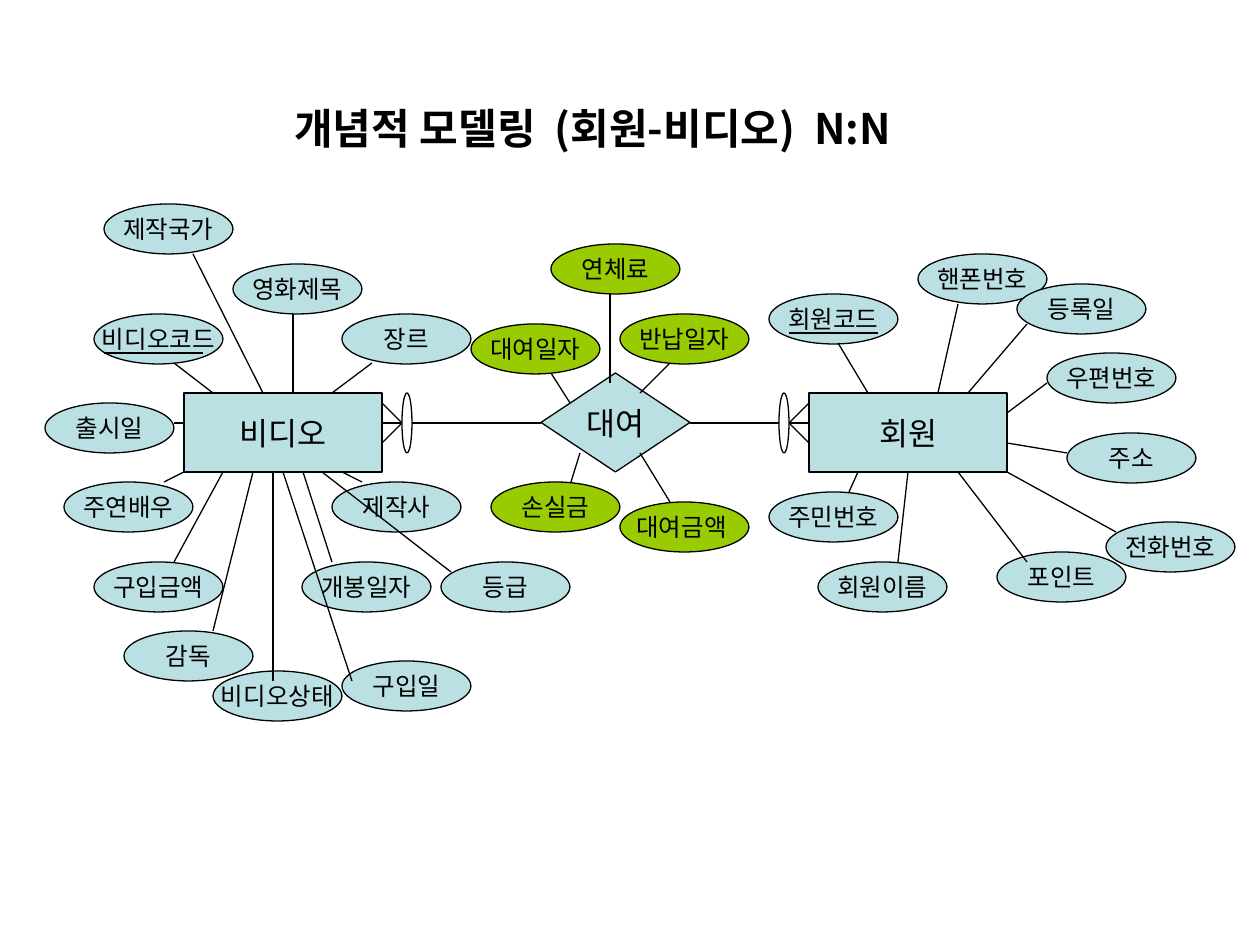
from lxml import etree
from pptx import Presentation, util as u
from pptx.dml.color import RGBColor
from pptx.enum import shapes, text
from pptx.oxml.ns import qn

BLACK = RGBColor(0, 0, 0)
WHITE = RGBColor(255, 255, 255)
AQUA = RGBColor(0xBB, 0xE0, 0xE3)
LIME = RGBColor(0x99, 0xCC, 0)
FACE = "Noto Sans CJK KR"
SCALE = 914400 / 126
OVAL = shapes.MSO_SHAPE.OVAL
RECT = shapes.MSO_SHAPE.RECTANGLE
DIAMOND = shapes.MSO_SHAPE.FLOWCHART_DECISION

NODES = [
    ("비디오", RECT, (184, 393, 198, 79)),
    ("회원", RECT, (809, 393, 198, 79)),
    ("대여", DIAMOND, (541, 373, 149, 99)),
]
LINKS = [
    (382, 423, 541, 423), (690, 423, 809, 423),
    (382, 403, 402, 423), (382, 443, 402, 423),
    (789, 423, 809, 403), (789, 423, 809, 443),
]
VIDEO = [
    ("장르", 342, 314), ("제작사", 332, 482), ("등급", 441, 562),
    ("구입일", 342, 661), ("비디오상태", 213, 671), ("감독", 124, 631),
    ("구입금액", 94, 562), ("주연배우", 64, 482), ("출시일", 45, 403),
    ("비디오코드", 94, 314), ("제작국가", 104, 204), ("영화제목", 233, 264),
    ("개봉일자", 302, 562),
]
MEMBER = [
    ("회원코드", 769, 294), ("주민번호", 769, 492), ("포인트", 997, 552),
    ("주소", 1067, 433), ("우편번호", 1047, 353), ("핸폰번호", 918, 254),
    ("회원이름", 818, 562), ("등록일", 1017, 284), ("전화번호", 1106, 522),
]
RENTAL = [
    ("대여일자", 471, 324), ("반납일자", 620, 314), ("연체료", 551, 244),
    ("대여금액 ", 620, 502), ("손실금", 491, 482),
]
KEYS = [(104, 353, 203, 353), (789, 333, 878, 333)]
SPOKES = [
    (293, 314, 293, 393), (372, 363, 332, 393), (193, 254, 263, 393),
    (174, 363, 213, 393), (174, 423, 184, 423), (164, 482, 184, 472),
    (174, 562, 223, 472), (253, 472, 213, 631), (273, 472, 273, 681),
    (303, 472, 332, 562), (342, 472, 362, 482), (322, 472, 451, 572),
    (283, 472, 352, 681), (551, 373, 570, 403), (610, 294, 610, 383),
    (670, 363, 640, 393), (580, 453, 571, 482), (640, 453, 670, 502),
    (838, 343, 868, 393), (958, 304, 938, 393), (1027, 324, 968, 393),
    (1047, 383, 1007, 413), (1067, 453, 1007, 443), (858, 472, 849, 492),
    (908, 472, 898, 562), (958, 472, 1027, 562), (1007, 472, 1116, 532),
]


def px(*vals):
    """Turn pixel lengths into EMU."""
    return [u.Emu(round(v * SCALE)) for v in vals]


def put(obj, **vals):
    """Set several attributes on one object."""
    for key, val in vals.items():
        setattr(obj, key, val)


def write(frame, words, size, bold=False, **form):
    """Write one paragraph in the slide's font."""
    para = frame.paragraphs[0]
    put(para, **form)
    run = para.add_run()
    run.text = words
    put(run.font, name=FACE, size=u.Pt(size), bold=bold)
    run.font.color.rgb = BLACK
    etree.SubElement(run.font._element, qn("a:ea"), typeface=FACE)


def edge(obj):
    """Give a shape or connector its thin black line."""
    obj.line.color.rgb = BLACK
    obj.line.width = u.Pt(0.75)


def node(slide, kind, box, fill, words="", size=14):
    """Add one filled shape with centred words."""
    shape = slide.shapes.add_shape(kind, *px(*box))
    shape.shadow.inherit = False
    shape.fill.solid()
    shape.fill.fore_color.rgb = fill
    edge(shape)
    if words:
        frame = shape.text_frame
        put(frame, word_wrap=False, vertical_anchor=text.MSO_ANCHOR.MIDDLE)
        write(frame, words, size, alignment=text.PP_ALIGN.CENTER)


def line(slide, ends):
    """Add one straight line between two points."""
    link = slide.shapes.add_connector(shapes.MSO_CONNECTOR.STRAIGHT, *px(*ends))
    edge(link)
    etree.SubElement(link._element.spPr, qn("a:effectLst"))


def title(slide, words):
    """Add the heading."""
    frame = slide.shapes.add_textbox(*px(282, 96, 694, 63)).text_frame
    put(frame, word_wrap=True, auto_size=text.MSO_AUTO_SIZE.SHAPE_TO_FIT_TEXT)
    write(frame, words, 24, bold=True, space_before=u.Pt(15))


def main():
    """Build the entity diagram and save it."""
    prs = Presentation()
    put(prs, slide_width=u.Inches(10), slide_height=u.Inches(7.5))
    slide = prs.slides.add_slide(prs.slide_layouts[6])
    title(slide, "개념적 모델링  (회원-비디오)  N:N")
    for words, kind, box in NODES:
        node(slide, kind, box, AQUA, words, 18)
    for ends in LINKS:
        line(slide, ends)
    for left in (402, 779):
        node(slide, OVAL, (left, 393, 10, 60), WHITE)
    for group, fill in ((VIDEO, AQUA), (MEMBER, AQUA), (RENTAL, LIME)):
        for words, left, top in group:
            node(slide, OVAL, (left, top, 129, 50), fill, words)
    for ends in KEYS + SPOKES:
        line(slide, ends)
    prs.save("out.pptx")


if __name__ == "__main__":
    main()
